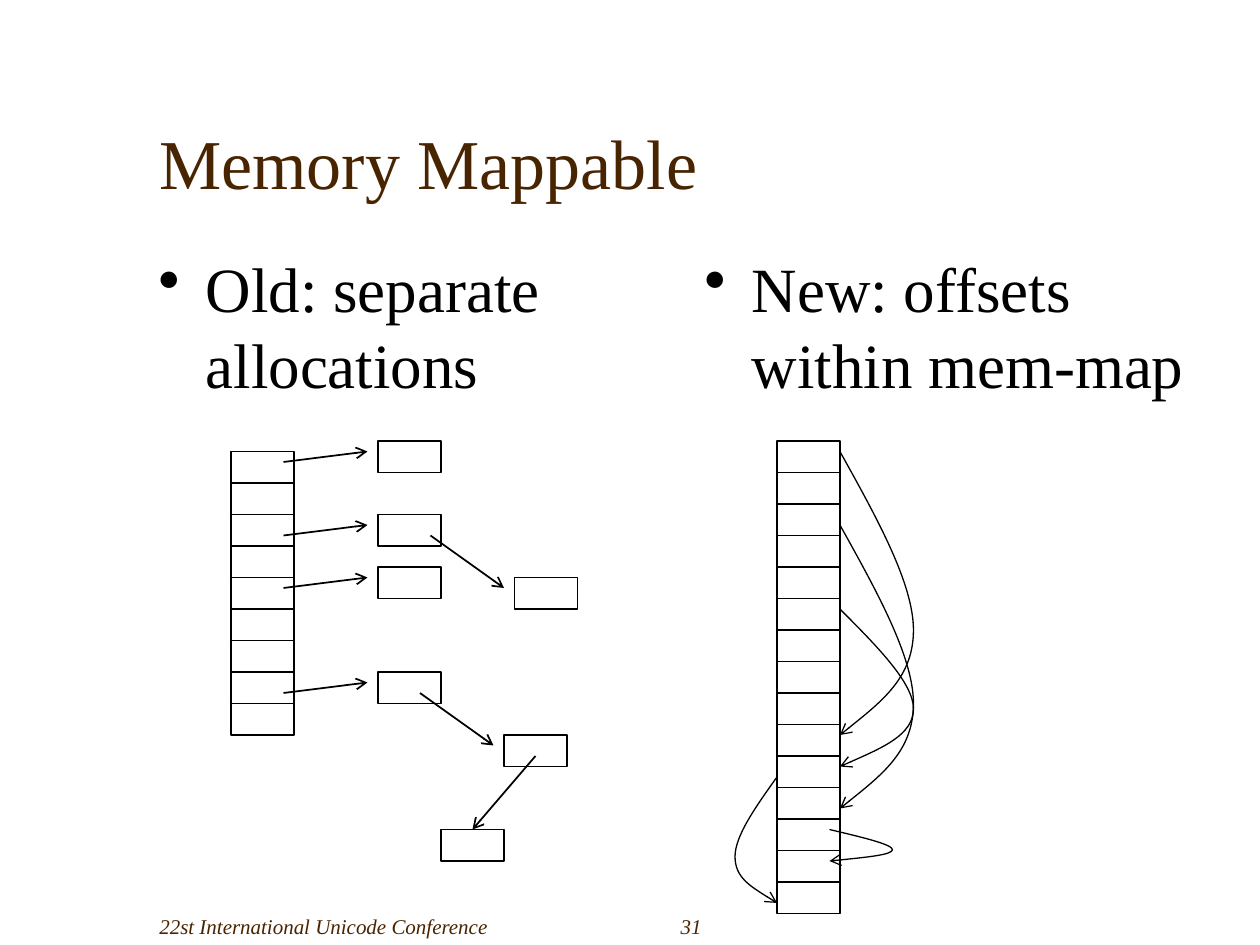
from lxml import etree
from pptx import Presentation
from pptx.dml.color import RGBColor
from pptx.enum.shapes import MSO_CONNECTOR, MSO_SHAPE
from pptx.enum.text import MSO_ANCHOR as Anchor, PP_ALIGN as Align
from pptx.oxml.ns import qn
from pptx.util import Pt

COLORS = {"brown": "482400", "black": "000000", "white": "FFFFFF"}
FONT = "Times New Roman"
CELL_WIDTH, CELL_HEIGHT = 36, 18


def color(name):
    return RGBColor.from_string(COLORS[name])


def add_text(slide, box, text, size, color_name, anchor=Anchor.TOP,
             align=Align.LEFT, italic=False, bullet=False):
    shape = slide.shapes.add_textbox(*map(Pt, box))
    frame = shape.text_frame
    frame.word_wrap = True
    frame.vertical_anchor = anchor
    frame.text = text
    paragraph = frame.paragraphs[0]
    paragraph.alignment = align
    if bullet:
        properties = paragraph._p.get_or_add_pPr()
        properties.set("marL", str(Pt(27)))
        properties.set("indent", str(-Pt(27)))
        etree.SubElement(properties, qn("a:buChar"), char="•")
    font = paragraph.runs[0].font
    font.name, font.size, font.italic = FONT, Pt(size), italic
    font.color.rgb = color(color_name)


def add_cell(group, left, top):
    cell = group.shapes.add_shape(MSO_SHAPE.RECTANGLE, Pt(left), Pt(top),
                                  Pt(CELL_WIDTH), Pt(CELL_HEIGHT))
    cell.shadow.inherit = False
    cell.fill.solid()
    cell.fill.fore_color.rgb = color("white")
    cell.line.color.rgb = color("black")
    cell.line.width = Pt(0.75)
    return cell


def add_column(group, left, top, count):
    for row in range(count):
        add_cell(group, left, top + row * CELL_HEIGHT)


def style_arrow(shape, width):
    shape.line.color.rgb = color("black")
    shape.line.width = Pt(width)
    etree.SubElement(shape.line._get_or_add_ln(), qn("a:tailEnd"), type="arrow")
    etree.SubElement(shape._element.spPr, qn("a:effectLst"))


def add_arrow(group, start, end, target=None):
    arrow = group.shapes.add_connector(MSO_CONNECTOR.STRAIGHT,
                                       *map(Pt, (*start, *end)))
    if target is not None:
        arrow.end_connect(target, 0)
    style_arrow(arrow, 1)


def add_curved_arrow(group, left, top, bottom, peak_x, peak_y):
    middle = (left + peak_x) / 2
    rise, fall = peak_y - top, bottom - peak_y
    points = [
        (middle, top + 0.37 * rise), (peak_x, top + 0.74 * rise), (peak_x, peak_y),
        (peak_x, peak_y + 0.45 * fall), (middle, peak_y + 0.72 * fall), (left, bottom),
    ]
    builder = group.shapes.build_freeform(Pt(left), Pt(top))
    builder.add_line_segments([(Pt(x), Pt(y)) for x, y in points], close=False)
    curve = builder.convert_to_shape()
    outline = curve._element.spPr.find(".//" + qn("a:path"))
    segments = outline.findall(qn("a:lnTo"))
    for first in range(0, len(segments), 3):
        bezier = etree.SubElement(outline, qn("a:cubicBezTo"))
        for segment in segments[first:first + 3]:
            bezier.append(segment[0])
            outline.remove(segment)
    curve.fill.background()
    style_arrow(curve, 0.75)


def add_separate_allocations(slide):
    group = slide.shapes.add_group_shape()
    add_column(group, 132, 258, 9)
    for top in (252, 294, 324, 384):
        add_cell(group, 216, top)
        add_arrow(group, (162, top + 12), (210, top + 6))
    add_cell(group, 288, 420)
    add_cell(group, 294, 330)
    last_cell = add_cell(group, 252, 474)
    add_arrow(group, (240, 396), (282, 426))
    add_arrow(group, (246, 306), (288, 336))
    add_arrow(group, (306, 432), (270, 474), last_cell)


def add_memory_map(slide):
    group = slide.shapes.add_group_shape()
    add_column(group, 444, 252, 15)
    for curve in (
        (480, 258, 420, 522, 360),
        (480, 300, 462, 522, 402),
        (480, 348, 438, 522, 405),
        (444, 444, 516, 420, 489.5),
        (474, 474, 492, 510, 485.5),
    ):
        add_curved_arrow(group, *curve)


def main():
    presentation = Presentation()
    presentation.slide_width, presentation.slide_height = Pt(720), Pt(540)
    slide = presentation.slides.add_slide(presentation.slide_layouts[6])
    add_text(slide, (84, 30, 612, 90), "Memory Mappable", 40, "brown", Anchor.BOTTOM)
    for left, text in ((83.5, "Old: separate allocations"),
                       (395.5, "New: offsets within mem-map")):
        add_text(slide, (left, 139, 299.5, 324), text, 36, "black", bullet=True)
    add_separate_allocations(slide)
    add_memory_map(slide)
    add_text(slide, (84, 504, 288, 36), "22st International Unicode Conference",
             12, "brown", Anchor.BOTTOM, italic=True)
    add_text(slide, (372, 504, 36, 36), "31", 12, "brown", Anchor.BOTTOM,
             Align.RIGHT, italic=True)
    presentation.save("out.pptx")


if __name__ == "__main__":
    main()
